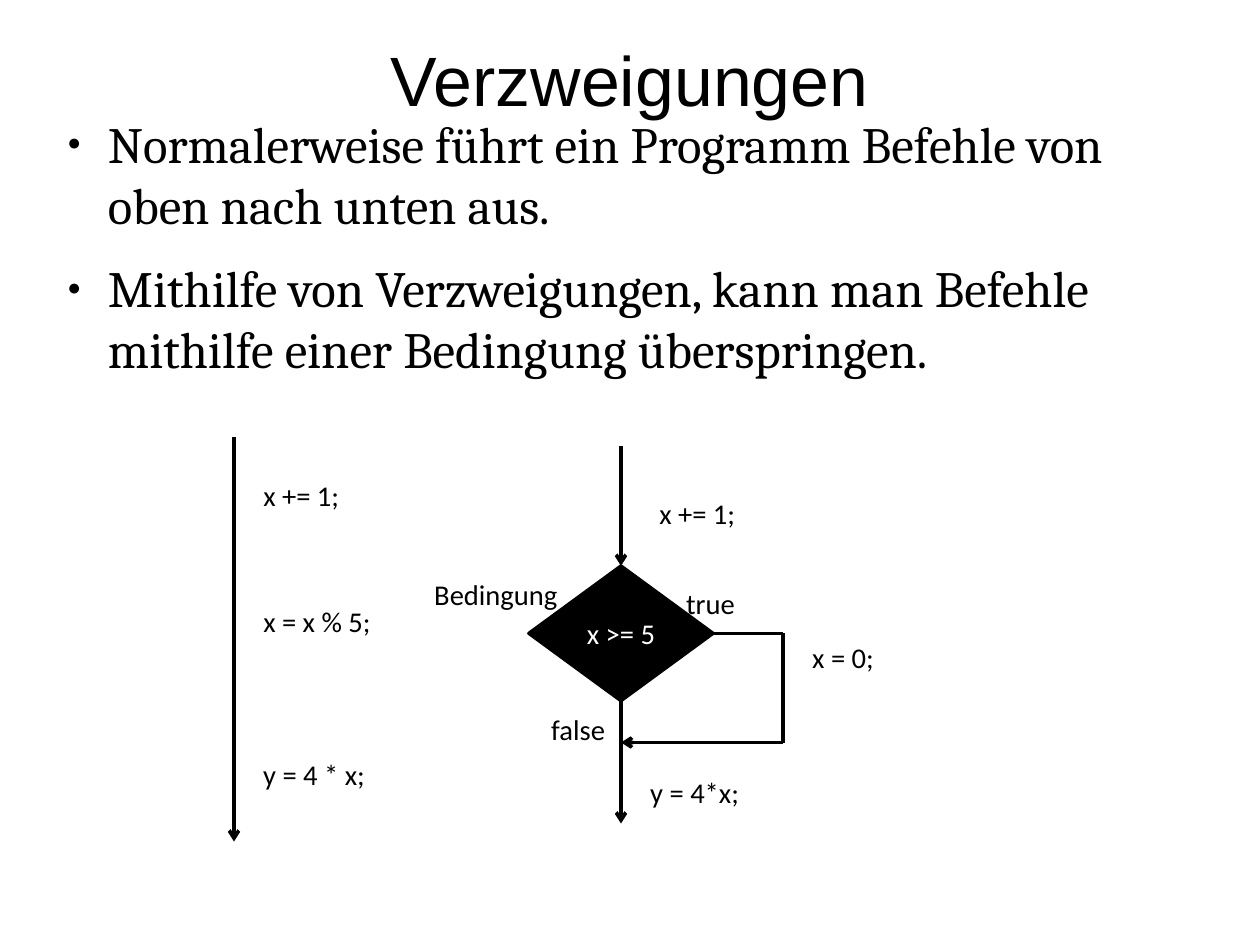
from dataclasses import dataclass

from lxml import etree
from pptx import Presentation
from pptx import util as u
from pptx.dml.color import RGBColor
from pptx.enum import shapes, text
from pptx.oxml import ns

PX = 9000


@dataclass(frozen=True)
class Theme:
    ink: RGBColor = RGBColor(0, 0, 0)
    paper: RGBColor = RGBColor(255, 255, 255)
    title_font: str = "Arial"
    body_font: str = "Cambria"
    label_font: str = "Calibri"
    title_size: float = 44
    body_size: float = 32
    label_size: float = 18
    line_width: float = 2.25
    border_width: float = 2


class Sketch:
    """Draws the elements of one slide in a shared style, with 40 px to the centimetre."""

    def __init__(self, slide, theme):
        self.slide = slide
        self.theme = theme

    def style(self, para, font, size, color):
        for span in para.runs:
            span.font.name = font
            span.font.size = u.Pt(size)
            span.font.color.rgb = color

    def box(self, left, top, width, height):
        return self.slide.shapes.add_textbox(left * PX, top * PX, width * PX, height * PX)

    def clear_margins(self, frame):
        frame.margin_left = frame.margin_right = 0
        frame.margin_top = frame.margin_bottom = 0

    def title(self, words, *place):
        frame = self.box(*place).text_frame
        self.clear_margins(frame)
        frame.word_wrap = True
        frame.vertical_anchor = text.MSO_ANCHOR.MIDDLE
        frame.text = words
        para = frame.paragraphs[0]
        para.alignment = text.PP_ALIGN.CENTER
        self.style(para, self.theme.title_font, self.theme.title_size, self.theme.ink)

    def bullets(self, lines, *place):
        frame = self.box(*place).text_frame
        self.clear_margins(frame)
        frame.word_wrap = True
        frame.text = "\n".join(lines)
        for para in frame.paragraphs:
            para.space_before = u.Pt(14.2)
            self.style(para, self.theme.body_font, self.theme.body_size, self.theme.ink)
            props = para._p.get_or_add_pPr()
            props.set("marL", str(48 * PX))
            props.set("indent", str(-36 * PX))
            etree.SubElement(props, ns.qn("a:buSzPct"), val="45000")
            etree.SubElement(props, ns.qn("a:buFont"), typeface=self.theme.title_font)
            etree.SubElement(props, ns.qn("a:buChar"), char="●")

    def label(self, words, left, top, width):
        frame = self.box(left, top, width, 41).text_frame
        frame.word_wrap = False
        frame.auto_size = text.MSO_AUTO_SIZE.SHAPE_TO_FIT_TEXT
        frame.text = words
        self.style(frame.paragraphs[0], self.theme.label_font, self.theme.label_size, self.theme.ink)

    def diamond(self, words, left, top, width, height):
        shape = self.slide.shapes.add_shape(
            shapes.MSO_SHAPE.DIAMOND, left * PX, top * PX, width * PX, height * PX)
        shape.shadow.inherit = False
        shape.fill.solid()
        shape.fill.fore_color.rgb = self.theme.ink
        shape.line.color.rgb = self.theme.ink
        shape.line.width = u.Pt(self.theme.border_width)
        frame = shape.text_frame
        frame.word_wrap = False
        frame.vertical_anchor = text.MSO_ANCHOR.MIDDLE
        frame.text = words
        para = frame.paragraphs[0]
        para.alignment = text.PP_ALIGN.CENTER
        self.style(para, self.theme.label_font, self.theme.label_size, self.theme.paper)
        return shape

    def line(self, start, end, arrow=False):
        points = [value * PX for value in (*start, *end)]
        connector = self.slide.shapes.add_connector(shapes.MSO_CONNECTOR.STRAIGHT, *points)
        connector.line.color.rgb = self.theme.ink
        connector.line.width = u.Pt(self.theme.line_width)
        if arrow:
            etree.SubElement(connector.line._get_or_add_ln(), ns.qn("a:tailEnd"), type="arrow")
        etree.SubElement(connector._element.spPr, ns.qn("a:effectLst"))
        return connector


def main():
    deck = Presentation()
    deck.slide_width = 1120 * PX
    deck.slide_height = 840 * PX
    sketch = Sketch(deck.slides.add_slide(deck.slide_layouts[6]), Theme())

    sketch.title("Verzweigungen", 56, 0, 1008, 140)
    sketch.bullets([
        "Normalerweise führt ein Programm Befehle von oben nach unten aus.",
        "Mithilfe von Verzweigungen, kann man Befehle mithilfe einer Bedingung überspringen.",
    ], 48, 100, 1008, 740)

    axis, middle, branch, merge = 552, 563, 696, 660
    half_width, half_height = 82, 60
    sketch.line((208, 388), (208, 748), arrow=True)
    condition = sketch.diamond(
        "x >= 5", axis - half_width, middle - half_height, 2 * half_width, 2 * half_height)
    entry = sketch.line((axis, 396), (axis, middle - half_height), arrow=True)
    entry.end_connect(condition, 0)
    leave = sketch.line((axis, middle + half_height), (axis, 732), arrow=True)
    leave.begin_connect(condition, 2)
    true_side = sketch.line((axis + half_width, middle), (branch, middle))
    true_side.begin_connect(condition, 3)
    sketch.line((branch, middle), (branch, merge))
    sketch.line((branch, merge), (axis, merge), arrow=True)

    for words, left, top, width in [
        ("x += 1;", 224, 420, 89),
        ("x = x % 5;", 224, 532, 117),
        ("y = 4 * x;", 224, 668, 112),
        ("x += 1;", 576, 436, 89),
        ("Bedingung", 376, 508, 131),
        ("true", 600, 516, 64),
        ("x = 0;", 712, 564, 76),
        ("false", 480, 628, 69),
        ("y = 4*x;", 568, 684, 101),
    ]:
        sketch.label(words, left, top, width)

    deck.save("out.pptx")


if __name__ == "__main__":
    main()
